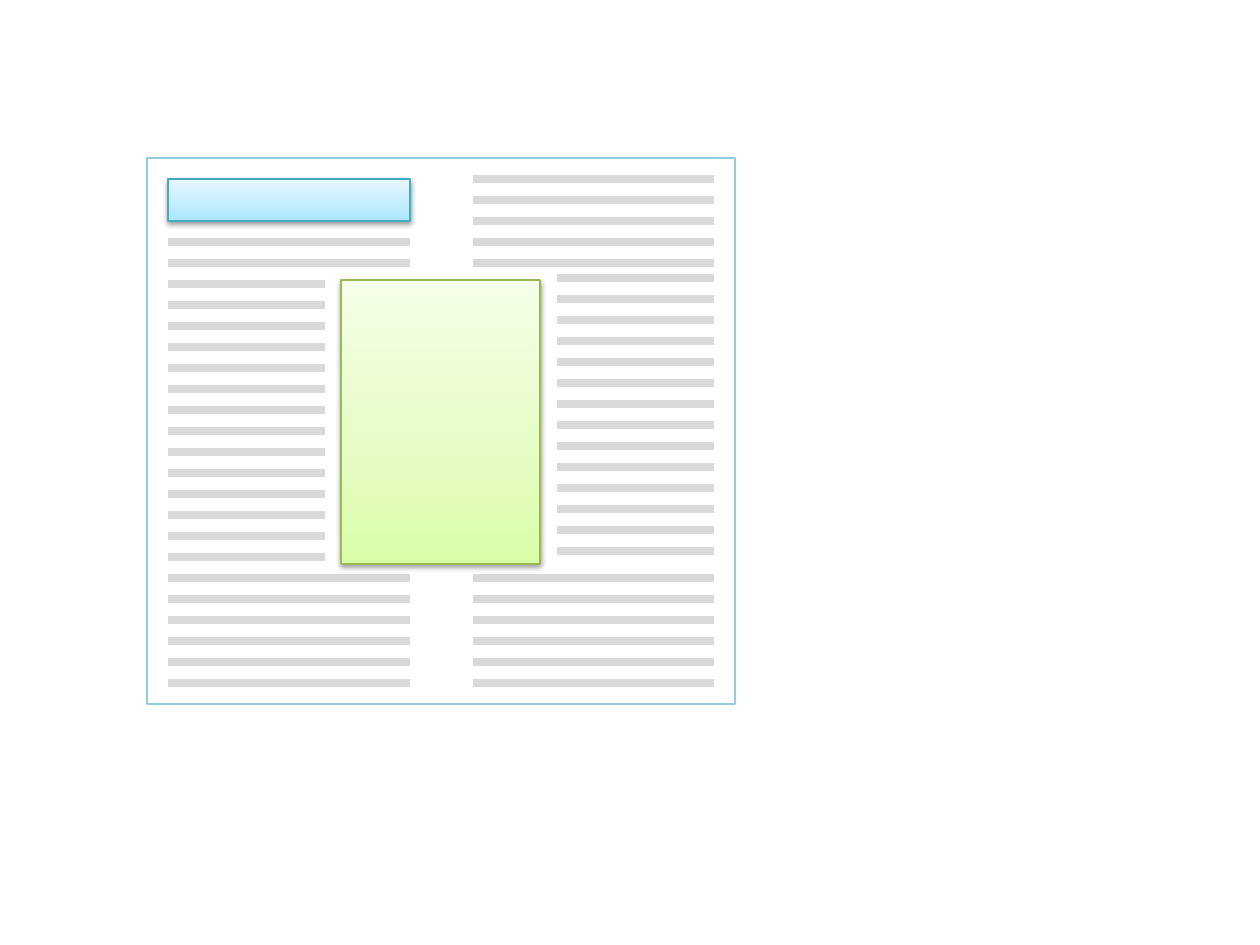
from copy import deepcopy

from lxml import etree
from pptx import Presentation
from pptx import util as u
from pptx.dml.color import RGBColor
from pptx.enum import shapes
from pptx.oxml.ns import qn

COLORS = {
    "frame": "93CDDD",
    "text": "D9D9D9",
    "headline_line": "46AAC5",
    "photo_line": "98B955",
    "shadow": "000000",
}
GRADIENTS = {
    "headline": ["A7E6FF", "C1EDFF", "E7F8FF"],
    "photo": ["DAFDA7", "E4FCC2", "F5FFE7"],
}
STOPS = [0, 0.35, 1]

# left, top, width, height
PAGE_FRAME = (147, 158, 588, 546)
HEADLINE = (168, 179, 242, 42)
PHOTO = (341, 280, 199, 284)

# left, right, first line, number of lines, grouped
LINE_PITCH = 21
TEXT_BLOCKS = [
    (168, 410, 242, 2, False),
    (168, 325, 284, 14, True),
    (168, 410, 578, 6, False),
    (473, 714, 179, 5, False),
    (557, 714, 278, 14, True),
    (473, 714, 578, 6, False),
]


def px(n):
    return u.Emu(round(n * 914400 / 126))


def rgb(name):
    return RGBColor.from_string(COLORS[name])


def add_box(s, box, line, width):
    sp = s.shapes.add_shape(shapes.MSO_SHAPE.RECTANGLE, *map(px, box))
    sp.shadow.inherit = False
    sp.fill.background()
    sp.line.color.rgb = rgb(line)
    sp.line.width = u.Pt(width)
    return sp


def add_raised_box(s, box, line, gradient):
    """Add a box with a three-stop vertical gradient and a soft shadow."""
    sp = add_box(s, box, line, 0.75)
    sp.fill.gradient()
    sp.fill.gradient_angle = 90
    stop_list = sp._element.spPr.find(".//" + qn("a:gsLst"))
    stop_list.append(deepcopy(stop_list[0]))
    for stop, position, color in zip(sp.fill.gradient_stops, STOPS, GRADIENTS[gradient]):
        stop.position = position
        stop.color.rgb = RGBColor.from_string(color)

    effects = sp._element.spPr.find(qn("a:effectLst"))
    shadow = etree.SubElement(effects, qn("a:outerShdw"), blurRad="40000",
                              dist="20000", dir="5400000", rotWithShape="0")
    color = etree.SubElement(shadow, qn("a:srgbClr"), val=COLORS["shadow"])
    etree.SubElement(color, qn("a:alpha"), val="38000")


def add_text_lines(s, left, right, top, count, grouped):
    parent = s.shapes.add_group_shape() if grouped else s
    for i in range(count):
        y = px(top + i * LINE_PITCH)
        line = parent.shapes.add_connector(
            shapes.MSO_CONNECTOR.STRAIGHT, px(left), y, px(right), y)
        line.line.color.rgb = rgb("text")
        line.line.width = u.Pt(4.5)
        etree.SubElement(line._element.spPr, qn("a:effectLst"))


def main():
    prs = Presentation()
    prs.slide_width, prs.slide_height = px(1260), px(945)
    s = prs.slides.add_slide(prs.slide_layouts[6])

    add_raised_box(s, PHOTO, "photo_line", "photo")
    add_box(s, PAGE_FRAME, "frame", 1.5)
    for block in TEXT_BLOCKS:
        add_text_lines(s, *block)
    add_raised_box(s, HEADLINE, "headline_line", "headline")

    prs.save("out.pptx")


if __name__ == "__main__":
    main()
